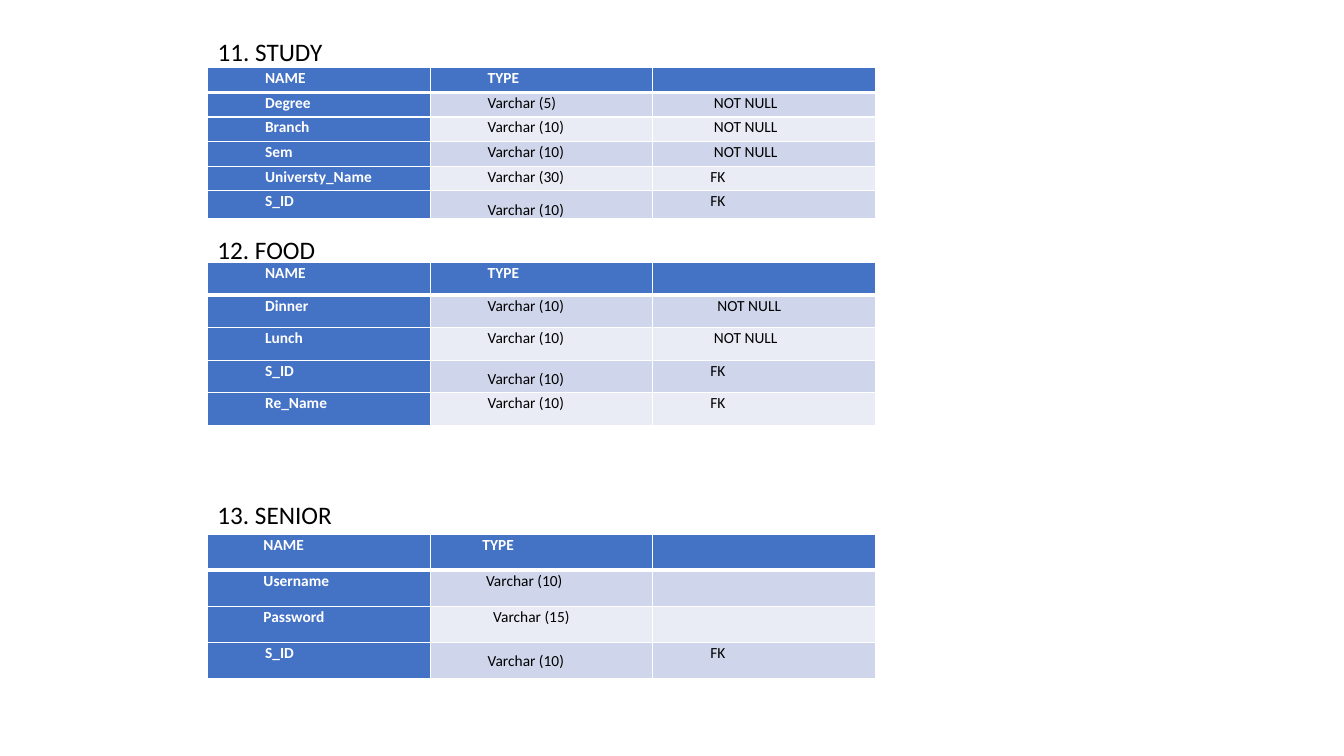
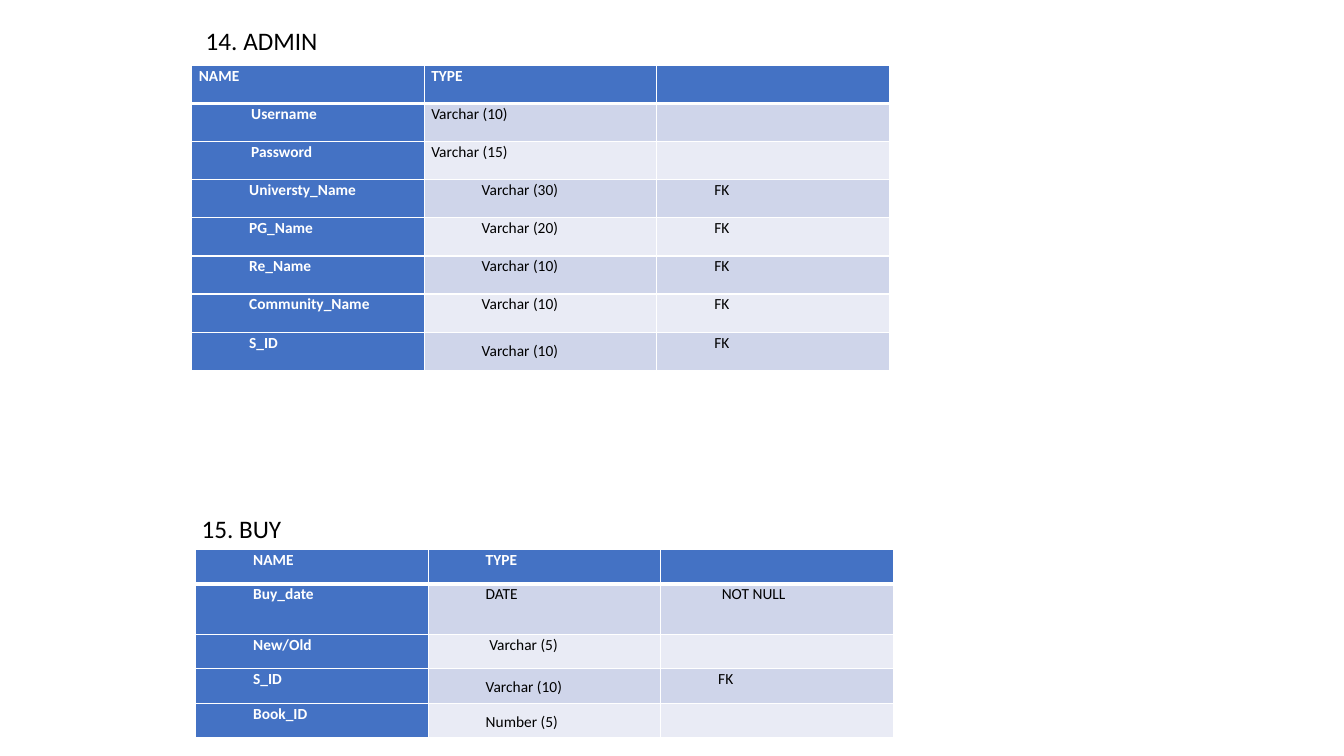
import lxml.etree
import pptx
import pptx.dml.color
import pptx.enum.text
import pptx.oxml.ns
import pptx.util

Cm = pptx.util.Cm
Pt = pptx.util.Pt
RGBColor = pptx.dml.color.RGBColor
qn = pptx.oxml.ns.qn

# Shared look
FONT = "Calibri"
BLUE = RGBColor(0x44, 0x72, 0xC4)
DARK_BAND = RGBColor(0xCF, 0xD5, 0xEA)
LIGHT_BAND = RGBColor(0xE9, 0xEB, 0xF5)
WHITE = RGBColor(0xFF, 0xFF, 0xFF)
BLACK = RGBColor(0, 0, 0)
CELL_SIZE = 11
CELL_MARGIN = 0.18
INDENT = 1.27
THIN, THICK = 1, 3

# Cells are plain text, or (text, indent in cm) where the indent is special
HEADER = ("NAME", "TYPE", "")
NOT_NULL = ("NOT NULL", 1.36)

STUDY = [
    HEADER,
    ("Degree", "Varchar (5)", NOT_NULL),
    ("Branch", "Varchar (10)", NOT_NULL),
    ("Sem", "Varchar (10)", NOT_NULL),
    ("Universty_Name", "Varchar (30)", "FK"),
    ("S_ID", "Varchar (10)", "FK"),
]
FOOD = [
    HEADER,
    ("Dinner", "Varchar (10)", ("NOT NULL", 1.45)),
    ("Lunch", "Varchar (10)", NOT_NULL),
    ("S_ID", "Varchar (10)", "FK"),
    ("Re_Name", "Varchar (10)", "FK"),
]
SENIOR = [
    (("NAME", 1.23), ("TYPE", 1.14), ""),
    (("Username", 1.23), ("Varchar (10)", 1.23), ""),
    (("Password", 1.23), ("Varchar (15)", 1.41), ""),
    ("S_ID", "Varchar (10)", "FK"),
]
ADMIN = [
    (("NAME", 0), ("TYPE", 0), ""),
    (("Username", 1.32), ("Varchar (10)", 0), ""),
    (("Password", 1.32), ("Varchar (15)", 0), ""),
    ("Universty_Name", "Varchar (30)", "FK"),
    ("PG_Name", "Varchar (20)", "FK"),
    ("Re_Name", "Varchar (10)", "FK"),
    ("Community_Name", "Varchar (10)", "FK"),
    ("S_ID", "Varchar (10)", "FK"),
]
BUY = [
    HEADER,
    ("Buy_date", "DATE", NOT_NULL),
    ("New/Old", ("Varchar (5)", 1.36), ""),
    ("S_ID", "Varchar (10)", "FK"),
    ("Book_ID", "Number (5)", ""),
]


def write_text(para, text, size=CELL_SIZE, color=BLACK, bold=False, spacing=1.0):
    """Put one formatted span in a paragraph; an empty one only gets its size."""
    para.alignment = pptx.enum.text.PP_ALIGN.LEFT
    para.line_spacing = spacing
    if not text:
        lxml.etree.SubElement(para._p, qn("a:endParaRPr"), sz=str(size * 100))
        return
    span = para.add_run()
    span.text = text
    span.font.name = FONT
    span.font.size = Pt(size)
    span.font.bold = bold
    span.font.color.rgb = color


def set_borders(cell, top=THIN, bottom=THIN):
    """Draw white lines around a cell, widths in points."""
    properties = cell._tc.get_or_add_tcPr()
    for side, width in (("L", THIN), ("R", THIN), ("T", top), ("B", bottom)):
        line = lxml.etree.SubElement(
            properties, qn("a:ln" + side), w=str(int(Pt(width))))
        fill = lxml.etree.SubElement(line, qn("a:solidFill"))
        lxml.etree.SubElement(fill, qn("a:srgbClr"), val=str(WHITE))


def format_cell(cell, entry, fill, **text_format):
    text, indent = entry if isinstance(entry, tuple) else (entry, INDENT)
    cell.margin_left = Cm(CELL_MARGIN + indent)
    cell.margin_right = Cm(CELL_MARGIN)
    cell.margin_top = cell.margin_bottom = Cm(0)
    cell.fill.solid()
    cell.fill.fore_color.rgb = fill
    write_text(cell.text_frame.paragraphs[0], text, **text_format)


def add_field_table(page, rows, left, top, column_width, row_heights):
    """Add a table of database fields: blue header row and name column."""
    columns = len(rows[0])
    table = page.shapes.add_table(
        len(rows), columns, Cm(left), Cm(top),
        Cm(column_width * columns), Cm(sum(row_heights))).table
    for column in table.columns:
        column.width = Cm(column_width)
    for i, (row, height) in enumerate(zip(rows, row_heights)):
        table.rows[i].height = Cm(height)
        is_id = str(row[0]).endswith("_ID")
        band = DARK_BAND if i % 2 else LIGHT_BAND
        for j, entry in enumerate(row):
            cell = table.cell(i, j)
            strong = i == 0 or j == 0
            set_borders(cell, top=THICK if i == 1 else THIN,
                        bottom=THICK if i == 0 else THIN)
            format_cell(cell, entry, BLUE if strong else band,
                        color=WHITE if strong else BLACK, bold=strong,
                        spacing=1.5 if is_id and j == 1 else 1.06)


def format_heading(box, text, left, top, width):
    box.left, box.top = Cm(left), Cm(top)
    box.width, box.height = Cm(width), Cm(1.02)
    frame = box.text_frame
    frame.word_wrap = True
    frame.auto_size = pptx.enum.text.MSO_AUTO_SIZE.SHAPE_TO_FIT_TEXT
    frame.vertical_anchor = pptx.enum.text.MSO_ANCHOR.TOP
    write_text(frame.paragraphs[0], text, size=18)


def add_heading(page, text, left, top, width):
    box = page.shapes.add_textbox(0, 0, 0, 0)
    format_heading(box, text, left, top, width)


def add_page(deck, title, left, top, width):
    """Add a page whose first heading is its title."""
    page = deck.slides.add_slide(deck.slide_layouts[5])
    format_heading(page.shapes.title, title, left, top, width)
    return page


def main():
    deck = pptx.Presentation()
    deck.slide_width, deck.slide_height = Cm(33.87), Cm(19.05)

    # Study, food and senior
    page = add_page(deck, "11. STUDY", 5.23, 0.79, 6.07)
    add_field_table(page, STUDY, 5.23, 1.71, 5.61, [0.62] * 5 + [0.68])
    add_field_table(page, FOOD, 5.23, 6.62, 5.61, [0.82] * 5)
    add_heading(page, "12. FOOD", 5.23, 5.77, 6.53)
    add_field_table(page, SENIOR, 5.23, 13.46, 5.61, [0.91] * 4)
    add_heading(page, "13. SENIOR", 5.23, 12.45, 5.66)

    # Admin and buy
    page = add_page(deck, "14. ADMIN", 4.93, 0.51, 5.74)
    add_field_table(page, ADMIN, 4.83, 1.65, 5.86, [0.96] * 8)
    add_field_table(page, BUY, 4.93, 13.84, 5.86, [0.87, 1.27] + [0.87] * 3)
    add_heading(page, "15. BUY", 4.83, 12.8, 5.56)

    deck.save("out.pptx")


main()
